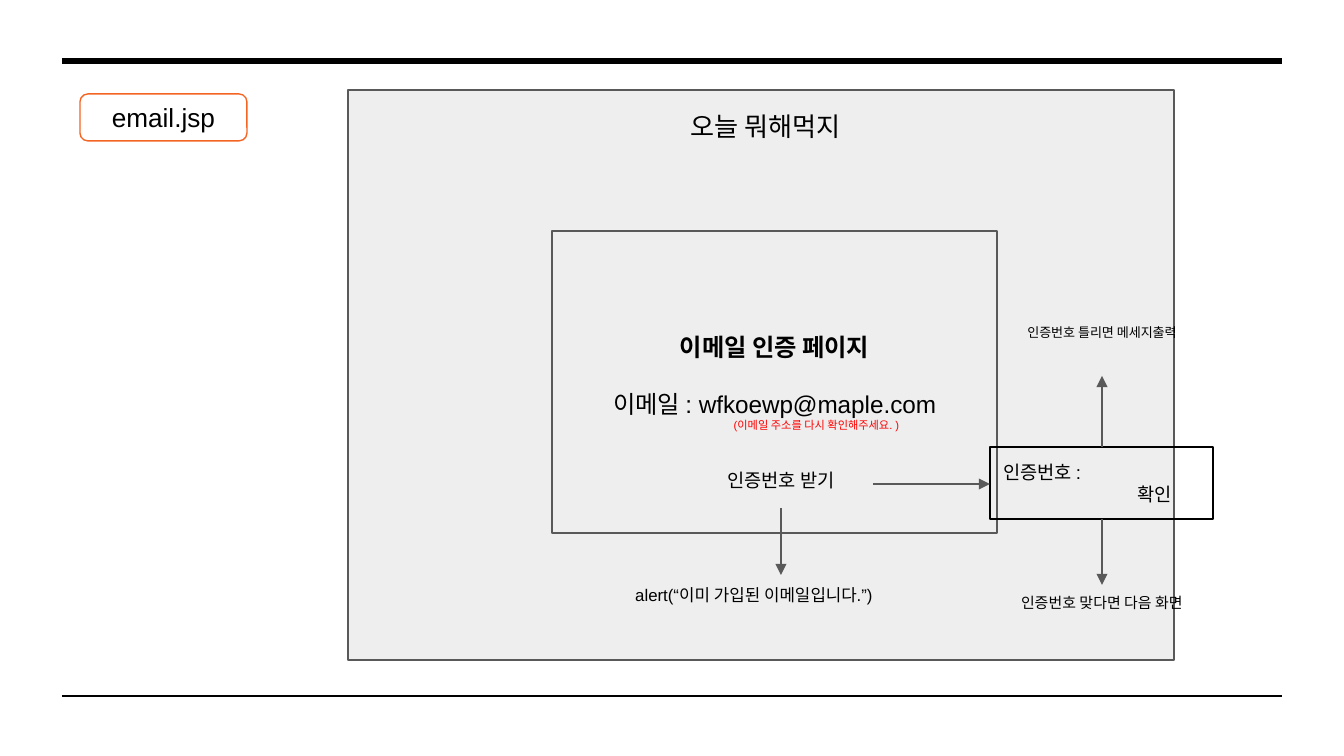
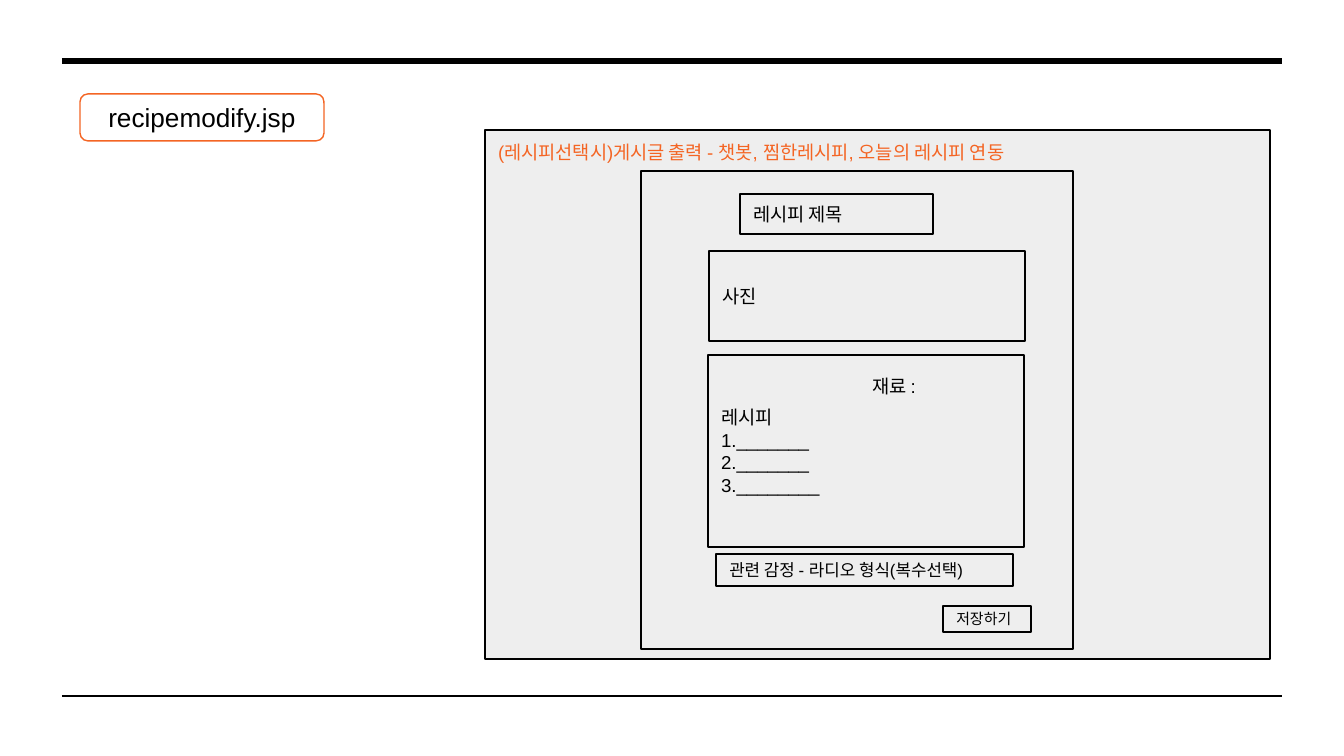
"""Two wireframe slides: the e-mail check page and the recipe editing page."""
from dataclasses import dataclass
from typing import Optional

from lxml import etree
from pptx import Presentation
from pptx.dml.color import RGBColor
from pptx.enum.shapes import MSO_CONNECTOR, MSO_SHAPE
from pptx.enum.text import MSO_ANCHOR, MSO_AUTO_SIZE, PP_ALIGN
from pptx.oxml.ns import qn
from pptx.util import Emu, Pt

RECT, ROUNDED = MSO_SHAPE.RECTANGLE, MSO_SHAPE.ROUNDED_RECTANGLE
STRAIGHT = MSO_CONNECTOR.STRAIGHT
TOP, MIDDLE = MSO_ANCHOR.TOP, MSO_ANCHOR.MIDDLE
LEFT, CENTER = PP_ALIGN.LEFT, PP_ALIGN.CENTER
GROW, FIXED = MSO_AUTO_SIZE.SHAPE_TO_FIT_TEXT, MSO_AUTO_SIZE.NONE
EMU_PER_PX = 914400 / 134.4
WIDTH, HEIGHT = 1344, 756


@dataclass(frozen=True)
class Theme:
    """Colours, font, type sizes and line widths of the deck."""
    black: str = "000000"
    grey: str = "595959"
    panel: str = "EEEEEE"
    orange: str = "F46524"
    red: str = "FF0000"
    font: str = "Arial"
    heading: int = 14
    card: int = 13
    body: int = 10
    small: int = 9
    note: int = 8
    tiny: int = 7
    warning: int = 6
    thin: float = 0.75
    footer: float = 1.5
    header: float = 3


T = Theme()


@dataclass(frozen=True)
class Para:
    """One paragraph; a newline in the text is a line break."""
    text: str
    size: int = T.body
    color: str = T.black
    bold: bool = False
    align: PP_ALIGN = LEFT
    indent: int = 0
    before: int = 0


@dataclass(frozen=True)
class Box:
    """A rectangle in pixels with optional fill, outline and text."""
    x: int
    y: int
    w: int
    h: int
    paras: tuple[Para, ...] = ()
    fill: Optional[str] = T.panel
    line: str = T.black
    anchor: MSO_ANCHOR = MIDDLE
    fit: MSO_AUTO_SIZE = FIXED
    shape: MSO_SHAPE = RECT


@dataclass(frozen=True)
class Label:
    """A borderless text box in pixels that grows with its text."""
    x: int
    y: int
    w: int
    h: int
    para: Para


@dataclass(frozen=True)
class Line:
    """A straight line in pixels, with or without an arrowhead."""
    x1: int
    y1: int
    x2: int
    y2: int
    color: str = T.grey
    width: float = T.thin
    arrow: bool = True


def px(n: float) -> Emu:
    """Turn pixels into EMU."""
    return Emu(round(n * EMU_PER_PX))


def rgb(color: str) -> RGBColor:
    """Turn a hex string into a colour."""
    return RGBColor.from_string(color)


def write(tf, paras: tuple[Para, ...], anchor: MSO_ANCHOR, fit: MSO_AUTO_SIZE) -> None:
    """Fill a text frame run by run."""
    tf.word_wrap = True
    tf.auto_size = fit
    tf.vertical_anchor = anchor
    tf.margin_left = tf.margin_right = tf.margin_top = tf.margin_bottom = Pt(7.2)
    for i, para in enumerate(paras):
        p = tf.add_paragraph() if i else tf.paragraphs[0]
        p.alignment = para.align
        p.space_before = Pt(para.before)
        if para.indent:
            p._p.get_or_add_pPr().set("marL", str(px(para.indent)))
        for j, text in enumerate(para.text.split("\n")):
            if j:
                p.add_line_break()
            r = p.add_run()
            r.text = text
            r.font.name = T.font
            r.font.size = Pt(para.size)
            r.font.bold = para.bold
            r.font.color.rgb = rgb(para.color)


def draw_box(s, box: Box) -> None:
    """Draw a rectangle or rounded rectangle with its text."""
    sp = s.shapes.add_shape(box.shape, px(box.x), px(box.y), px(box.w), px(box.h))
    sp.shadow.inherit = False
    if box.fill:
        sp.fill.solid()
        sp.fill.fore_color.rgb = rgb(box.fill)
    else:
        sp.fill.background()
    sp.line.color.rgb = rgb(box.line)
    sp.line.width = Pt(T.thin)
    if box.paras:
        write(sp.text_frame, box.paras, box.anchor, box.fit)


def draw_label(s, label: Label) -> None:
    """Draw a borderless text box."""
    sp = s.shapes.add_textbox(px(label.x), px(label.y), px(label.w), px(label.h))
    write(sp.text_frame, (label.para,), TOP, GROW)


def draw_line(s, line: Line) -> None:
    """Draw a rule or an arrow."""
    sp = s.shapes.add_connector(STRAIGHT, px(line.x1), px(line.y1),
                                px(line.x2), px(line.y2))
    sp.line.color.rgb = rgb(line.color)
    sp.line.width = Pt(line.width)
    if line.arrow:
        etree.SubElement(sp.line._get_or_add_ln(), qn("a:tailEnd"), type="triangle")
    etree.SubElement(sp._element.spPr, qn("a:effectLst"))


DRAW = {Box: draw_box, Label: draw_label, Line: draw_line}


def add_page(prs, file_name: str, tag_width: int, items: tuple) -> None:
    """Add a slide with its rules, file tag and wireframe items."""
    s = prs.slides.add_slide(prs.slide_layouts[6])
    tag = Box(80, 94, tag_width, 47, (Para(file_name, T.heading, align=CENTER),),
              fill=None, line=T.orange, shape=ROUNDED)
    rules = (Line(62, 696, 1282, 696, T.black, T.footer, arrow=False),
             Line(62, 61, 1282, 61, T.black, T.header, arrow=False))
    for item in (*rules, *items, tag):
        DRAW[type(item)](s, item)


EMAIL_CARD = (
    Para("이메일 인증 페이지", T.card, bold=True, align=CENTER),
    Para("이메일 : wfkoewp@maple.com", T.card, align=CENTER, before=15),
    Para("(이메일 주소를 다시 확인해주세요. )", T.warning, T.red, align=CENTER, indent=84),
)
CODE_ENTRY = (Para("인증번호 :"), Para("확인", indent=134))
REQUEST_X, CODE_X = 781, 1102

EMAIL_PAGE = (
    Box(348, 90, 826, 570, line=T.grey),
    Label(677, 97, 325, 59, Para("오늘 뭐해먹지", T.heading)),
    Box(552, 231, 445, 302, EMAIL_CARD, line=T.grey),
    Label(689, 458, 184, 50, Para("인증번호 받기", align=CENTER)),
    Box(990, 447, 223, 72, CODE_ENTRY, fill=None, anchor=TOP, fit=GROW),
    Line(873, 484, 990, 484),
    Label(622, 575, 317, 47, Para("alert(“이미 가입된 이메일입니다.”)", T.small)),
    Line(REQUEST_X, 508, REQUEST_X, 575),
    Label(996, 585, 212, 46, Para("인증번호 맞다면 다음 화면", T.note, align=CENTER)),
    Line(CODE_X, 519, CODE_X, 585),
    Line(CODE_X, 447, CODE_X, 376),
    Label(1007, 317, 190, 59, Para("인증번호 틀리면 메세지출력", T.tiny, align=CENTER)),
)

RECIPE_STEPS = (Para("레시피\n1._______"), Para("2._______"), Para("3.________"))
RECIPE_PAGE = (
    Box(485, 130, 785, 529),
    Box(641, 171, 432, 478),
    Label(485, 130, 755, 50,
          Para("(레시피선택시)게시글 출력 - 챗봇, 찜한레시피, 오늘의 레시피 연동", color=T.orange)),
    Box(740, 194, 193, 40, (Para("레시피 제목"),)),
    Box(709, 251, 316, 90, (Para("사진"),)),
    Box(708, 355, 316, 192, RECIPE_STEPS),
    Label(859, 364, 146, 50, Para("재료 :")),
    Box(716, 554, 297, 32, (Para("관련 감정 - 라디오 형식(복수선택)", T.small),)),
    Box(943, 606, 88, 26, (Para("저장하기", T.note),)),
)


def main() -> None:
    """Build the deck and save it."""
    prs = Presentation()
    prs.slide_width, prs.slide_height = px(WIDTH), px(HEIGHT)
    add_page(prs, "email.jsp", 167, EMAIL_PAGE)
    add_page(prs, "recipemodify.jsp", 244, RECIPE_PAGE)
    prs.save("out.pptx")


main()
